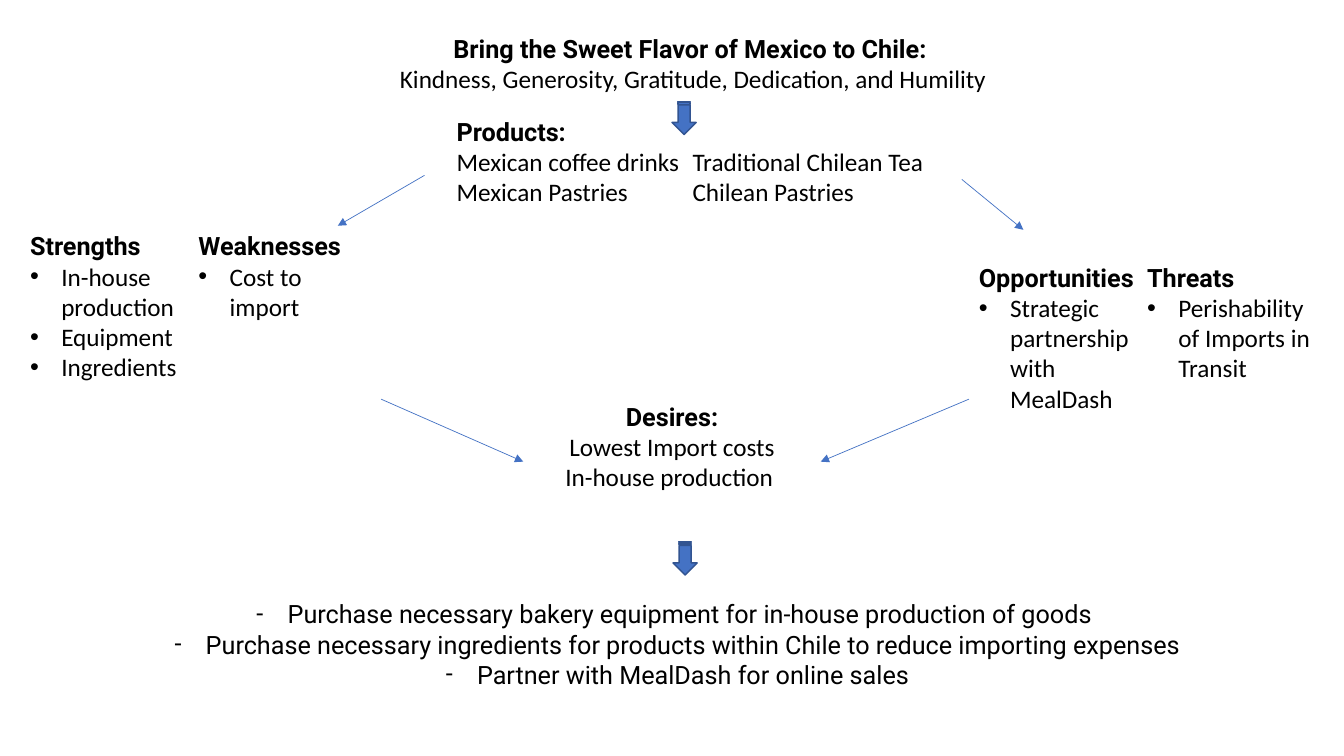
"""Builds the business plan flow slide."""
from lxml import etree
from pptx import Presentation
from pptx.dml.color import RGBColor
from pptx.enum import shapes, text
from pptx.oxml.ns import qn
from pptx.util import Inches, Pt

BLACK = RGBColor(0x00, 0x00, 0x00)
BLUE = RGBColor(0x44, 0x72, 0xC4)
NAVY = RGBColor(0x32, 0x54, 0x91)
HEAD, BODY = "Roboto", "Calibri"
LEFT, MID = text.PP_ALIGN.LEFT, text.PP_ALIGN.CENTER
DENT = Inches(0.31)
COL = 1.67


class Plan:
    """Holds the slide and draws each kind of element in its style."""

    def __init__(self, deck):
        """Add a title-only slide to the deck."""
        self.slide = deck.slides.add_slide(deck.slide_layouts[5])
        self.items = self.slide.shapes

    def line(self, para, words, font, bold=False, align=LEFT, mark=None):
        """Write one paragraph with an optional bullet mark."""
        para.alignment = align
        para.line_spacing = 1.0
        para.space_before = Pt(0)
        if mark:
            props = para._p.get_or_add_pPr()
            props.set("marL", str(DENT))
            props.set("indent", str(-DENT))
            face = etree.SubElement(props, qn("a:buFont"))
            face.set("typeface", "Arial" if mark == "•" else font)
            etree.SubElement(props, qn("a:buChar")).set("char", mark)
        run = para.add_run()
        run.text = words
        run.font.name = font
        run.font.size = Pt(18)
        run.font.bold = bold
        run.font.color.rgb = BLACK

    def fill(self, box, head, body, align=LEFT, mark=None, font=BODY):
        """Fill a box with a bold heading and body lines."""
        frame = box.text_frame
        frame.word_wrap = True
        frame.auto_size = text.MSO_AUTO_SIZE.NONE
        frame.vertical_anchor = text.MSO_ANCHOR.TOP
        rows = [(head, HEAD, True, align)] if head else []
        rows += [(words, font, False, align, mark) for words in body]
        for i, row in enumerate(rows):
            para = frame.add_paragraph() if i else frame.paragraphs[0]
            self.line(para, *row)

    def title(self, area, head, body):
        """Place and fill the title placeholder."""
        box = self.items.title
        box.left, box.top, box.width, box.height = map(Inches, area)
        self.fill(box, head, body, MID)

    def note(self, area, head, body, **style):
        """Add a text box."""
        box = self.items.add_textbox(*map(Inches, area))
        self.fill(box, head, body, **style)

    def link(self, *ends):
        """Add a thin arrow."""
        wire = self.items.add_connector(
            shapes.MSO_CONNECTOR.STRAIGHT, *map(Inches, ends))
        wire.line.color.rgb = BLUE
        wire.line.width = Pt(0.5)
        tail = etree.SubElement(wire.line._get_or_add_ln(), qn("a:tailEnd"))
        tail.set("type", "triangle")
        etree.SubElement(wire._element.spPr, qn("a:effectLst"))

    def arrow(self, left, top):
        """Add a striped block arrow that points down."""
        shape = self.items.add_shape(
            shapes.MSO_SHAPE.STRIPED_RIGHT_ARROW,
            *map(Inches, (left, top, 0.33, 0.24)))
        shape.rotation = 90
        shape.shadow.inherit = False
        shape.fill.solid()
        shape.fill.fore_color.rgb = BLUE
        shape.line.color.rgb = NAVY
        shape.line.width = Pt(1)


def main():
    """Draw the slide and save it."""
    deck = Presentation()
    deck.slide_width, deck.slide_height = Inches(13.33), Inches(7.5)
    plan = Plan(deck)
    plan.title((3.53, 0.28, 6.69, 0.71),
               "Bring the Sweet Flavor of Mexico to Chile: ",
               ["Kindness, Generosity, Gratitude, Dedication, and Humility"])
    plan.note((4.43, 1.1, 2.55, 1.03), "Products:",
              ["Mexican coffee drinks", "Mexican Pastries"])
    plan.note((6.77, 1.4, 2.55, 0.73), None,
              ["Traditional Chilean Tea", "Chilean Pastries"])

    swot = [
        (0.2, 2.24, [
            ("Strengths", ["In-house production", "Equipment", "Ingredients"]),
            ("Weaknesses", ["Cost to import"])]),
        (9.61, 2.55, [
            ("Opportunities", ["Strategic partnership with MealDash"]),
            ("Threats", ["Perishability of Imports in Transit"])]),
    ]
    for left, top, cols in swot:
        for i, (head, body) in enumerate(cols):
            plan.note((left + i * COL, top, COL + 0.2, 1.6), head, body,
                      mark="•")

    plan.note((4.69, 3.93, 3.95, 1.01), "Desires:",
              ["Lowest Import costs", "In-house production "], align=MID)
    plan.note((0, 5.89, 13.44, 1.01), None, [
        "Purchase necessary bakery equipment for in-house production of goods ",
        "Purchase necessary ingredients for products within Chile to reduce "
        "importing expenses",
        "Partner with MealDash for online sales",
    ], align=MID, mark="-", font=HEAD)

    for ends in [(4.21, 1.74, 3.35, 2.24), (9.54, 1.78, 10.15, 2.28),
                 (9.61, 3.96, 8.14, 4.58), (3.78, 3.96, 5.19, 4.58)]:
        plan.link(*ends)
    for spot in [(6.62, 1.05), (6.63, 5.42)]:
        plan.arrow(*spot)
    deck.save("out.pptx")


if __name__ == "__main__":
    main()
